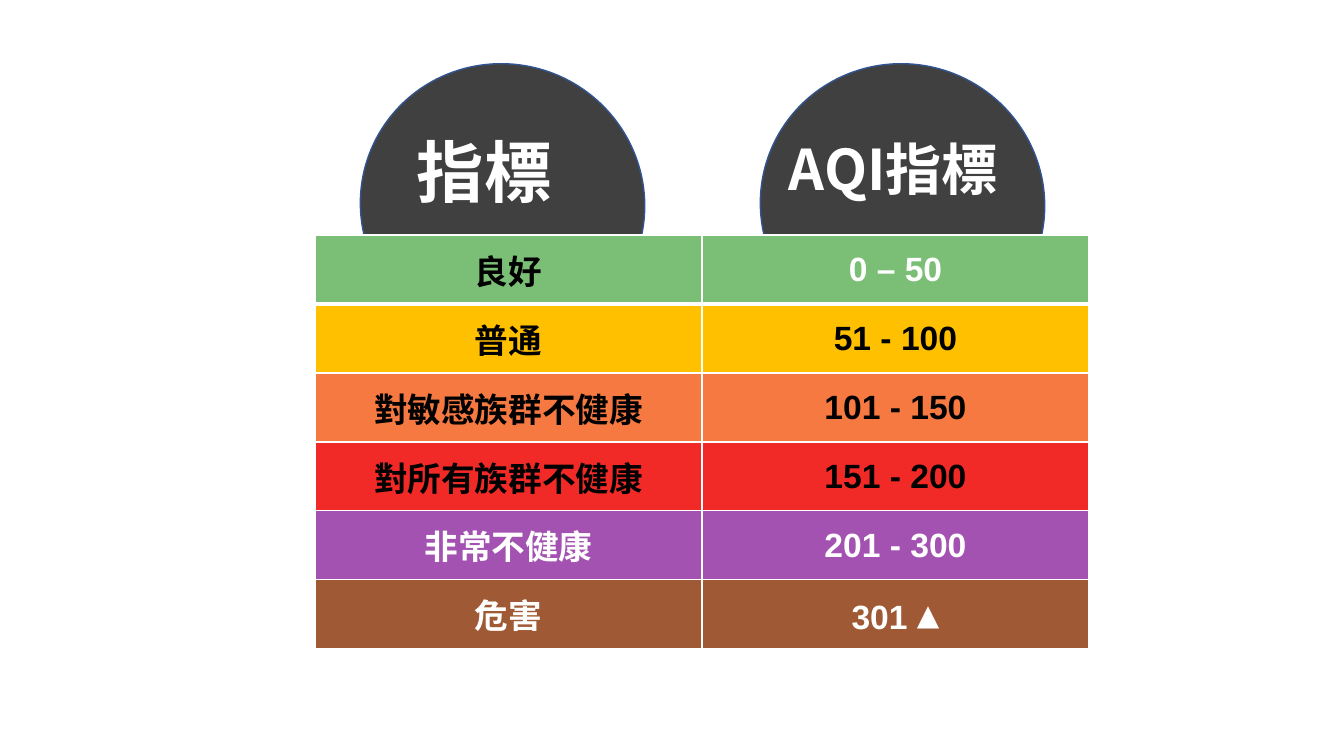
from lxml import etree
from pptx import Presentation
from pptx import util as u
from pptx.dml.color import RGBColor
from pptx.enum import shapes, text
from pptx.oxml import ns

PX = 914400 / 100.8
WHITE = RGBColor(0xFF, 0xFF, 0xFF)
BLACK = RGBColor(0x00, 0x00, 0x00)
CHARCOAL = RGBColor(0x40, 0x40, 0x40)
NAVY = RGBColor(0x32, 0x54, 0x91)
GREEN = RGBColor(0x7B, 0xBE, 0x76)
YELLOW = RGBColor(0xFF, 0xC0, 0x00)
ORANGE = RGBColor(0xF5, 0x79, 0x41)
RED = RGBColor(0xF2, 0x2A, 0x27)
PURPLE = RGBColor(0xA3, 0x52, 0xB2)
BROWN = RGBColor(0x9F, 0x59, 0x35)
CJK = "Noto Sans CJK TC"


def box(*lengths):
    return [u.Emu(round(length * PX)) for length in lengths]


def add_run(paragraph, words, size, font, color):
    run = paragraph.add_run()
    run.text = words
    run.font.size = u.Pt(size)
    run.font.name = font
    run.font.bold = True
    run.font.color.rgb = color
    east_asian = etree.SubElement(run.font._element, ns.qn("a:ea"))
    east_asian.set("typeface", CJK)


presentation = Presentation()
presentation.slide_width, presentation.slide_height = box(1344, 756)
slide = presentation.slides.add_slide(presentation.slide_layouts[6])

headings = [
    (362, "指標", 48, (407, 125, 192, 122)),
    (762, "AQI指標", 40, (779, 130, 248, 109)),
]
for left, words, size, label_box in headings:
    group = slide.shapes.add_group_shape()
    dome = group.shapes.add_shape(shapes.MSO_SHAPE.CHORD, *box(left, 62, 281, 285))
    dome.rotation = 112.9
    dome.shadow.inherit = False
    dome.fill.solid()
    dome.fill.fore_color.rgb = CHARCOAL
    dome.line.color.rgb = NAVY
    dome.line.width = u.Pt(1)
    label = group.shapes.add_textbox(*box(*label_box))
    label.text_frame.word_wrap = True
    label.text_frame.auto_size = text.MSO_AUTO_SIZE.SHAPE_TO_FIT_TEXT
    paragraph = label.text_frame.paragraphs[0]
    paragraph.alignment = text.PP_ALIGN.JUSTIFY
    add_run(paragraph, words, size, CJK, WHITE)

levels = [
    ("良好", "0 – 50", GREEN, BLACK, WHITE),
    ("普通", "51 - 100", YELLOW, BLACK, BLACK),
    ("對敏感族群不健康", "101 - 150", ORANGE, BLACK, BLACK),
    ("對所有族群不健康", "151 - 200", RED, BLACK, BLACK),
    ("非常不健康", "201 - 300", PURPLE, WHITE, WHITE),
    ("危害", "301 ", BROWN, WHITE, WHITE),
]
frame = slide.shapes.add_table(len(levels), 2, *box(315, 235, 774, 69 * len(levels)))
table = frame.table
table.first_row = False
table.horz_banding = False
for row, (name, span, fill, name_color, span_color) in enumerate(levels):
    columns = [(name, CJK, name_color), (span, "Arial", span_color)]
    for column, (words, font, color) in enumerate(columns):
        cell = table.cell(row, column)
        cell.vertical_anchor = text.MSO_ANCHOR.MIDDLE
        cell.margin_top, cell.margin_bottom = box(2, 2)
        paragraph = cell.text_frame.paragraphs[0]
        paragraph.alignment = text.PP_ALIGN.CENTER
        add_run(paragraph, words, 24, font, color)
        properties = cell._tc.get_or_add_tcPr()
        for side in "LRTB":
            thick = (row, side) in [(0, "B"), (1, "T")]
            border = etree.SubElement(properties, ns.qn(f"a:ln{side}"))
            border.set("w", str(u.Pt(3 if thick else 1)))
            solid = etree.SubElement(border, ns.qn("a:solidFill"))
            etree.SubElement(solid, ns.qn("a:srgbClr")).set("val", str(WHITE))
        cell.fill.solid()
        cell.fill.fore_color.rgb = fill

hazard = table.cell(len(levels) - 1, 1).text_frame.paragraphs[0]
add_run(hazard, "▴", 32, "Arial", WHITE)

presentation.save("out.pptx")
